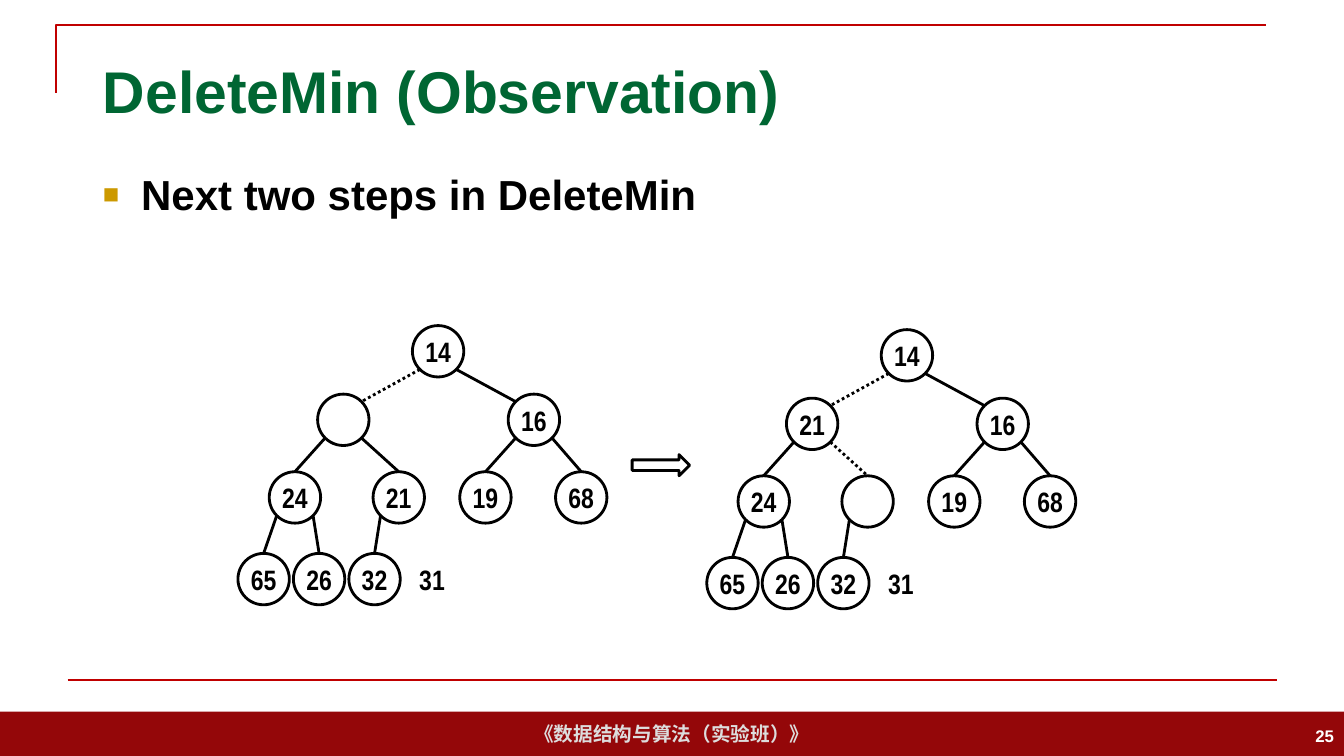
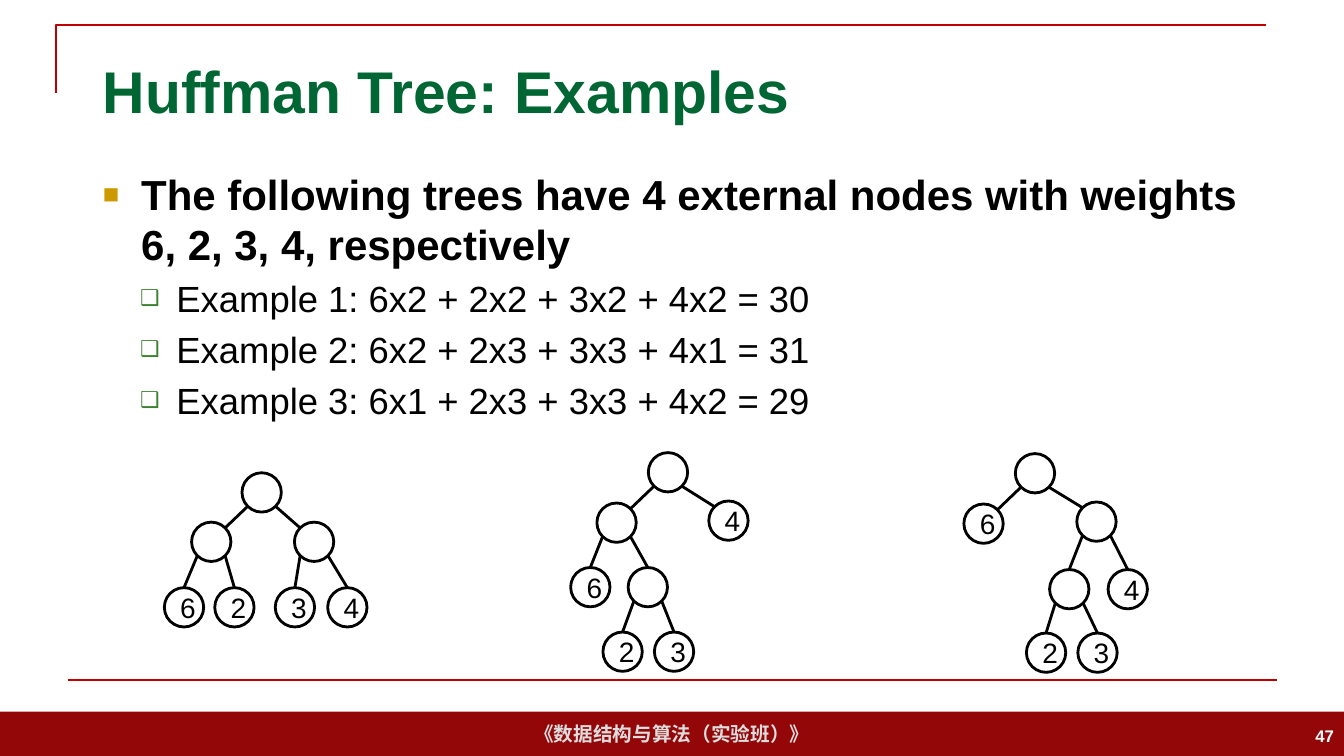
from dataclasses import dataclass, replace
from math import sqrt

from lxml import etree
from pptx import Presentation
from pptx.dml.color import RGBColor
from pptx.enum.dml import MSO_LINE
from pptx.enum.shapes import MSO_CONNECTOR, MSO_SHAPE
from pptx.enum.text import MSO_ANCHOR, MSO_AUTO_SIZE, PP_ALIGN
from pptx.oxml.ns import qn
from pptx.util import Inches, Pt

LEFT, CENTER, RIGHT = PP_ALIGN.LEFT, PP_ALIGN.CENTER, PP_ALIGN.RIGHT
MIDDLE = MSO_ANCHOR.MIDDLE
NO_FIT = MSO_AUTO_SIZE.NONE
STRAIGHT = MSO_CONNECTOR.STRAIGHT
OVAL, RECT, ARROW = MSO_SHAPE.OVAL, MSO_SHAPE.RECTANGLE, MSO_SHAPE.RIGHT_ARROW
DOTTED = MSO_LINE.ROUND_DOT

BLACK, WHITE = "000000", "FFFFFF"
GREEN, RED, BAND, FOOTER_GREY = "006633", "C00000", "940709", "DDDDDD"
COURSE = "《数据结构与算法（实验班）》"


@dataclass(frozen=True)
class Level:
    bullet: str
    bullet_color: str
    bullet_pct: int
    margin: float
    hanging: float
    size: int
    bold: bool


@dataclass(frozen=True)
class Node:
    """Circle placed relative to the root; parent is an index into the tree."""
    x: float
    y: float
    label: str = ""
    parent: int | None = None
    dotted: bool = False


@dataclass(frozen=True)
class NodeStyle:
    diameter: float
    font: str
    bold: bool
    left_inset: float = 0


LEVELS = (
    Level("■", "CC9900", 65, 0.38, 0.38, 30, True),
    Level("❑", "3B812F", 60, 0.73, 0.36, 26, False),
)
HEAP_STYLE = NodeStyle(0.51, "Arial Narrow", True)
HUFFMAN_STYLE = NodeStyle(0.39, "Arial", False, 0.08)

HEAP_BEFORE = (
    Node(0, 0, "14"),
    Node(-0.94, 0.68, "", 0, True),
    Node(0.95, 0.68, "16", 0),
    Node(-1.42, 1.45, "24", 1),
    Node(-0.39, 1.45, "21", 1),
    Node(0.47, 1.45, "19", 2),
    Node(1.42, 1.45, "68", 2),
    Node(-1.73, 2.26, "65", 3),
    Node(-1.18, 2.26, "26", 3),
    Node(-0.63, 2.26, "32", 4),
)
HEAP_CHANGES = {1: {"label": "21"}, 4: {"label": "", "dotted": True}}
HEAP_AFTER = tuple(
    replace(n, **HEAP_CHANGES.get(i, {})) for i, n in enumerate(HEAP_BEFORE)
)
HEAPS = ((4.09, 3.23, HEAP_BEFORE), (8.74, 3.27, HEAP_AFTER))

HUFFMAN_TREES = (
    (2.4, 4.69, (
        Node(0, 0),
        Node(-0.5, 0.49, "", 0),
        Node(0.52, 0.49, "", 0),
        Node(-0.77, 1.14, "6", 1),
        Node(-0.27, 1.14, "2", 1),
        Node(0.33, 1.14, "3", 2),
        Node(0.85, 1.14, "4", 2),
    )),
    (6.43, 4.49, (
        Node(0, 0),
        Node(-0.51, 0.5, "", 0),
        Node(0.6, 0.48, "4", 0),
        Node(-0.77, 1.14, "6", 1),
        Node(-0.2, 1.14, "", 1),
        Node(-0.45, 1.78, "2", 4),
        Node(0.06, 1.78, "3", 4),
    )),
    (10.07, 4.5, (
        Node(0, 0),
        Node(-0.51, 0.5, "6", 0),
        Node(0.61, 0.48, "", 0),
        Node(0.34, 1.15, "", 2),
        Node(0.92, 1.15, "4", 2),
        Node(0.11, 1.78, "2", 3),
        Node(0.62, 1.78, "3", 3),
    )),
)


def rgb(color: str) -> RGBColor:
    return RGBColor.from_string(color)


def write(p, text: str, *, size: float, color: str = BLACK, bold: bool = False,
          font: str = "Arial", align=LEFT) -> None:
    p.alignment = align
    r = p.add_run()
    r.text = text
    r.font.size, r.font.bold, r.font.name = Pt(size), bold, font
    r.font.color.rgb = rgb(color)


def set_line(sp, color: str, width: float) -> None:
    sp.line.color.rgb = rgb(color)
    sp.line.width = Pt(width)


def add_line(s, x1: float, y1: float, x2: float, y2: float, *,
             color: str = BLACK, width: float = 2, dotted: bool = False):
    line = s.shapes.add_connector(
        STRAIGHT, Inches(x1), Inches(y1), Inches(x2), Inches(y2))
    set_line(line, color, width)
    if dotted:
        line.line.dash_style = DOTTED
    etree.SubElement(line.element.spPr, qn("a:effectLst"))
    return line


def add_shape(s, kind, x: float, y: float, w: float, h: float, fill: str = ""):
    """Add a filled shape without a line, or an outlined one if fill is empty."""
    sp = s.shapes.add_shape(kind, Inches(x), Inches(y), Inches(w), Inches(h))
    sp.shadow.inherit = False
    if fill:
        sp.fill.solid()
        sp.fill.fore_color.rgb = rgb(fill)
        sp.line.fill.background()
    else:
        sp.fill.background()
        set_line(sp, BLACK, 2)
    return sp


def add_text(s, x: float, y: float, w: float, h: float, text: str, **fmt) -> None:
    tf = s.shapes.add_textbox(Inches(x), Inches(y), Inches(w), Inches(h)).text_frame
    tf.word_wrap = True
    tf.vertical_anchor = MIDDLE
    write(tf.paragraphs[0], text, **fmt)


def place(sp, x: float, y: float, w: float, h: float) -> None:
    sp.left, sp.top, sp.width, sp.height = map(Inches, (x, y, w, h))


def build_layout(s) -> None:
    """Draw the shared frame through slide s and move it into its layout."""
    layout = s.slide_layout
    place(layout.placeholders[0], 0.92, 0.4, 11.5, 0.99)
    place(layout.placeholders[1], 0.92, 1.62, 11.5, 5.15)

    band = add_shape(s, RECT, 0, 7.06, 13.33, 0.44, BAND)
    tf = band.text_frame
    tf.word_wrap = False
    tf.vertical_anchor = MIDDLE
    write(tf.paragraphs[0], COURSE, size=14, color=FOOTER_GREY, bold=True,
          align=CENTER)

    builder = s.shapes.build_freeform(Inches(0.56), Inches(0.92))
    builder.add_line_segments(
        [(Inches(0.56), Inches(0.25)), (Inches(12.56), Inches(0.25))], close=False)
    corner = builder.convert_to_shape()
    corner.shadow.inherit = False
    corner.fill.background()
    set_line(corner, RED, 1.5)

    rule = add_line(s, 0.67, 6.75, 12.67, 6.75, color=RED, width=1.5)
    for shape_id, sp in enumerate((band, corner, rule), start=101):
        sp.element.xpath(".//p:cNvPr")[0].set("id", str(shape_id))
        layout.shapes.element.append(sp.element)


def set_bullet(p, level: Level) -> None:
    pPr = p._p.get_or_add_pPr()
    pPr.set("marL", str(Inches(level.margin)))
    pPr.set("indent", str(-Inches(level.hanging)))
    color = etree.SubElement(pPr, qn("a:buClr"))
    etree.SubElement(color, qn("a:srgbClr"), val=level.bullet_color)
    etree.SubElement(pPr, qn("a:buSzPct"), val=str(level.bullet_pct * 1000))
    etree.SubElement(pPr, qn("a:buFont"), typeface="Arial")
    etree.SubElement(pPr, qn("a:buChar"), char=level.bullet)


def fill_slide(s, title: str, items: list[tuple[int, str]], number: int) -> None:
    tf = s.shapes.title.text_frame
    tf.auto_size = NO_FIT
    tf.vertical_anchor = MIDDLE
    write(tf.paragraphs[0], title, size=42, color=GREEN, bold=True)

    tf = s.placeholders[1].text_frame
    tf.auto_size = NO_FIT
    for i, (depth, text) in enumerate(items):
        p = tf.add_paragraph() if i else tf.paragraphs[0]
        level = LEVELS[depth]
        p.level = depth
        write(p, text, size=level.size, bold=level.bold)
        set_bullet(p, level)

    add_text(s, 10.33, 7.1, 3, 0.4, str(number), size=12, color=WHITE, bold=True,
             align=RIGHT)


def add_node(s, x: float, y: float, label: str, style: NodeStyle) -> None:
    sp = add_shape(s, OVAL, x, y, style.diameter, style.diameter)
    if not label:
        return
    tf = sp.text_frame
    tf.margin_left = Inches(style.left_inset)
    tf.margin_right = tf.margin_top = tf.margin_bottom = 0
    tf.word_wrap = False
    tf.vertical_anchor = MIDDLE
    write(tf.paragraphs[0], label, size=20, bold=style.bold, font=style.font,
          align=CENTER)


def add_tree(s, x: float, y: float, nodes: tuple[Node, ...],
             style: NodeStyle) -> None:
    """Edges leave a parent diagonally and reach a child's top, or the facing
    upper diagonal when the parent is the root."""
    radius = style.diameter / 2
    diagonal = radius / sqrt(2)
    for n in nodes:
        add_node(s, x + n.x, y + n.y, n.label, style)
    for n in nodes:
        if n.parent is None:
            continue
        parent = nodes[n.parent]
        side = diagonal if n.x > parent.x else -diagonal
        dx, dy = (side, diagonal) if n.parent == 0 else (0, radius)
        cx, cy = x + radius, y + radius
        add_line(s, cx + parent.x + side, cy + parent.y + diagonal,
                 cx + n.x - dx, cy + n.y - dy, dotted=n.dotted)


def main() -> None:
    prs = Presentation()
    prs.slide_width, prs.slide_height = Inches(13.33), Inches(7.5)
    layout = prs.slide_layouts[1]

    s = prs.slides.add_slide(layout)
    build_layout(s)
    fill_slide(s, "DeleteMin (Observation)", [(0, "Next two steps in DeleteMin")], 25)
    for x, y, nodes in HEAPS:
        add_tree(s, x, y, nodes, HEAP_STYLE)
        add_text(s, x - 0.08, y + 2.3, 0.55, 0.44, "31", size=20, bold=True,
                 font="Arial Narrow", align=CENTER)
    add_shape(s, ARROW, 6.27, 4.51, 0.57, 0.21)

    s = prs.slides.add_slide(layout)
    fill_slide(s, "Huffman Tree: Examples", [
        (0, "The following trees have 4 external nodes with weights "
            "6, 2, 3, 4, respectively"),
        (1, "Example 1: 6x2 + 2x2 + 3x2 + 4x2 = 30"),
        (1, "Example 2: 6x2 + 2x3 + 3x3 + 4x1 = 31"),
        (1, "Example 3: 6x1 + 2x3 + 3x3 + 4x2 = 29"),
    ], 47)
    for x, y, nodes in HUFFMAN_TREES:
        add_tree(s, x, y, nodes, HUFFMAN_STYLE)

    prs.save("out.pptx")


if __name__ == "__main__":
    main()
